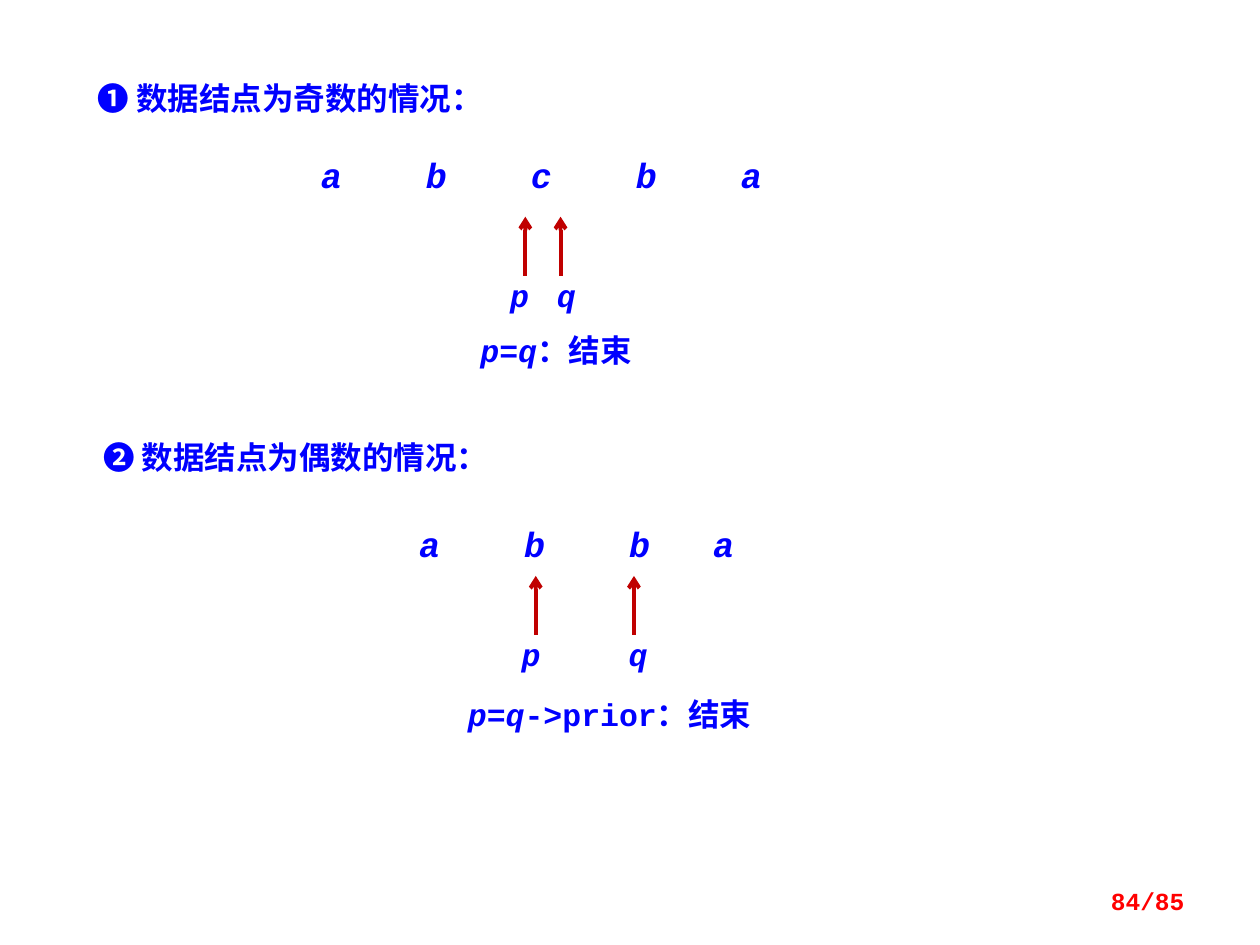
from lxml import etree
from pptx import Presentation
from pptx.dml.color import RGBColor
from pptx.enum.shapes import MSO_CONNECTOR, MSO_SHAPE
from pptx.enum.text import MSO_ANCHOR, PP_ALIGN
from pptx.oxml.ns import qn
from pptx.util import Cm, Pt

RECT = MSO_SHAPE.RECTANGLE
STRAIGHT = MSO_CONNECTOR.STRAIGHT
LEFT, CENTER, RIGHT = PP_ALIGN.LEFT, PP_ALIGN.CENTER, PP_ALIGN.RIGHT
TOP, MIDDLE = MSO_ANCHOR.TOP, MSO_ANCHOR.MIDDLE

COLORS = {"text": "0000FF", "arrow": "C00000", "page": "FF0000", "white": "FFFFFF"}
MONO, CJK = "Courier New", "Noto Sans CJK SC"
CHAR = 0.4233  # width in cm of one 20 pt Courier New character


def write(sp, runs, size=18, font=MONO, color="text", align=CENTER,
          anchor=TOP, margins=(0.25, 0.13, 0.25, 0.13)):
    """Fill a shape with one paragraph of (text, italic) runs."""
    tf = sp.text_frame
    tf.word_wrap = True
    tf.vertical_anchor = anchor
    tf.margin_left, tf.margin_top, tf.margin_right, tf.margin_bottom = map(Cm, margins)
    p = tf.paragraphs[0]
    p.alignment = align
    for text, italic in runs:
        r = p.add_run()
        r.text = text
        r.font.name, r.font.size = font, Pt(size)
        r.font.bold, r.font.italic = True, italic
        r.font.color.rgb = RGBColor.from_string(COLORS[color])
        etree.SubElement(r.font._element, qn("a:ea"), typeface=CJK)
    return p


def add_arrow(shapes, x, y_from, y_to):
    line = shapes.add_connector(STRAIGHT, Cm(x), Cm(y_from), Cm(x), Cm(y_to))
    line.line.color.rgb = RGBColor.from_string(COLORS["arrow"])
    line.line.width = Pt(2.25)
    etree.SubElement(line.line._get_or_add_ln(), qn("a:tailEnd"), type="arrow")
    etree.SubElement(line._element.spPr, qn("a:effectLst"))


prs = Presentation()
prs.slide_width, prs.slide_height = Cm(25.4), Cm(19.05)
s = prs.slides.add_slide(prs.slide_layouts[6])

# Letter stops are counted in characters; pointers are (name, arrow x, label x)
cases = [
    {"heading": "❶ 数据结点为奇数的情况：", "heading_box": (1.19, 1.4, 9.32, 1.17),
     "letters": "abcba", "letters_box": (4.57, 2.97, 12.7, 1.12),
     "indent": 1.9, "stops": (5, 10, 15, 20),
     "pointers": [("p", 10.59, 9.98), ("q", 11.3, 10.92)], "pointer_y": 5.56,
     "end": "：结束", "end_box": (8.53, 6.55, 5.36, 1.02)},
    {"heading": "❷ 数据结点为偶数的情况：", "heading_box": (1.4, 8.64, 9.12, 1.17),
     "letters": "abba", "letters_box": (6.76, 10.41, 9.73, 1.12),
     "indent": 1.69, "stops": (5, 10, 14),
     "pointers": [("p", 10.8, 10.21), ("q", 12.78, 12.37)], "pointer_y": 12.8,
     "end": "->prior：结束", "end_box": (7.92, 13.89, 8.74, 1.02)},
]

for case in cases:
    sp = s.shapes.add_shape(RECT, *map(Cm, case["heading_box"]))
    sp.shadow.inherit = False
    sp.fill.solid()
    sp.fill.fore_color.rgb = RGBColor.from_string(COLORS["white"])
    sp.line.fill.background()
    write(sp, [(case["heading"], False)], font=CJK, margins=(0.25, 0.2, 0.25, 0.2))

    shapes = s.shapes.add_group_shape().shapes
    sp = shapes.add_textbox(*map(Cm, case["letters_box"]))
    p = write(sp, [("\t".join(case["letters"]), True)], size=20, align=LEFT,
              margins=(case["indent"], 0.13, 0.25, 0.13))
    tabs = etree.SubElement(p._p.get_or_add_pPr(), qn("a:tabLst"))
    for stop in case["stops"]:
        etree.SubElement(tabs, qn("a:tab"), pos=str(Cm(stop * CHAR)), algn="l")

    y = case["pointer_y"]
    for name, arrow_x, label_x in case["pointers"]:
        add_arrow(shapes, arrow_x, y, y - 1.19)
        sp = shapes.add_textbox(Cm(label_x), Cm(y), Cm(0.99), Cm(0.76))
        write(sp, [(name, True)], margins=(0, 0, 0, 0))

    sp = shapes.add_textbox(*map(Cm, case["end_box"]))
    write(sp, [("p", True), ("=", False), ("q", True), (case["end"], False)])

sp = s.shapes.add_textbox(Cm(18.21), Cm(17.65), Cm(5.92), Cm(1.02))
write(sp, [("84/85", False)], size=14, color="page", align=RIGHT, anchor=MIDDLE)

prs.save("out.pptx")
